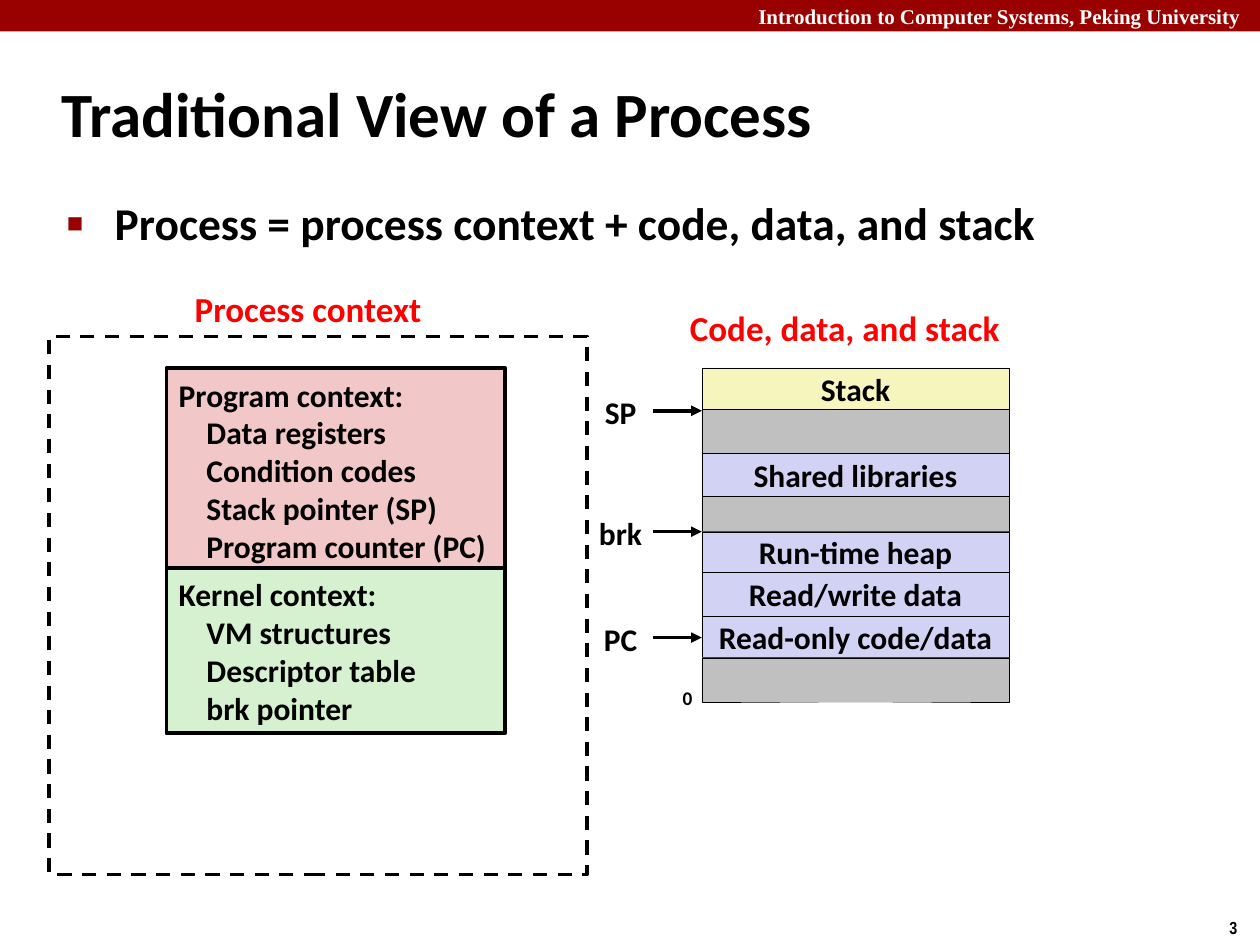
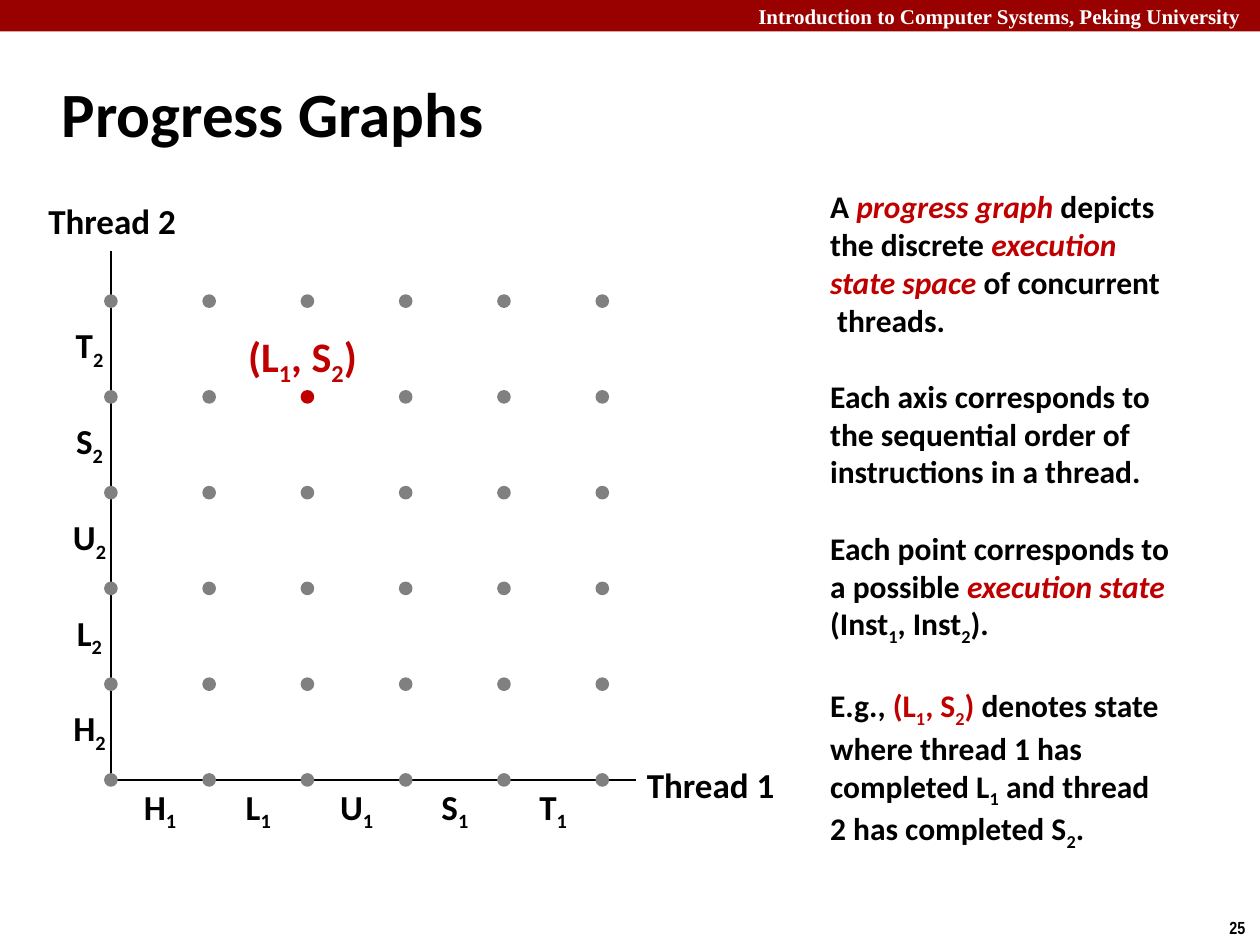
import dataclasses

import lxml.etree
import pptx
import pptx.dml.color
import pptx.enum.dml
import pptx.enum.shapes
import pptx.enum.text
import pptx.oxml.ns
import pptx.util

Inches = pptx.util.Inches
SHAPES = pptx.enum.shapes.MSO_SHAPE
ALIGN = pptx.enum.text.PP_ALIGN
ANCHOR = pptx.enum.text.MSO_ANCHOR


@dataclasses.dataclass(frozen=True)
class Theme:
    # Colours
    black: str = "000000"
    white: str = "FFFFFF"
    band: str = "990000"
    heading: str = "FF0000"
    accent: str = "C00000"
    pink: str = "F1C7C7"
    green: str = "D5F1CF"
    yellow: str = "F6F5BD"
    lilac: str = "D2D2F4"
    silver: str = "C0C0C0"
    dot: str = "808080"
    # Fonts
    font: str = "Calibri"
    band_font: str = "Times New Roman"
    number_font: str = "Arial Narrow"
    # Type sizes
    title: int = 36
    bullet: int = 26
    callout: int = 24
    label: int = 20
    text: int = 18
    band_size: int = 12
    small: int = 11
    number: int = 10


THEME = Theme()

# Run styles: a run is a plain string or a (text, style) pair
SUB = {"subscript": True}
RED = {"color": THEME.accent}
RED_SUB = {**RED, **SUB}
TERM = {**RED, "italic": True}


def rgb(color):
    return pptx.dml.color.RGBColor.from_string(color)


def add_xml(parent, tag, **attributes):
    element = lxml.etree.SubElement(parent, pptx.oxml.ns.qn(tag))
    for name, value in attributes.items():
        element.set(name, value)
    return element


class Deck:
    def __init__(self, theme):
        self.theme = theme
        self.presentation = pptx.Presentation()
        self.presentation.slide_width = Inches(10)
        self.presentation.slide_height = Inches(7.5)
        self.slide = None

    def start_slide(self, layout, title, number):
        """Add a slide with the shared band, page number and title."""
        theme = self.theme
        self.slide = self.presentation.slides.add_slide(
            self.presentation.slide_layouts[layout])
        self.shape(SHAPES.RECTANGLE, 0, 0, 10, 0.25, theme.band)
        self.label(5.92, 0, 4.08, 0.25,
                   ["Introduction to Computer Systems, Peking University"],
                   size=theme.band_size, color=theme.white,
                   font=theme.band_font, align=ALIGN.LEFT)
        self.label(9.66, 7.23, 0.34, 0.27, [number], size=theme.number,
                   font=theme.number_font, align=ALIGN.LEFT)
        frame = self.placeholder(self.slide.shapes.title, 0.39, 0.48, 8.3, 0.83)
        frame.vertical_anchor = ANCHOR.MIDDLE
        self.add_runs(frame.paragraphs[0], [title], theme.title)

    def placeholder(self, shape, left, top, width, height):
        shape.left, shape.top = Inches(left), Inches(top)
        shape.width, shape.height = Inches(width), Inches(height)
        shape.text_frame.auto_size = pptx.enum.text.MSO_AUTO_SIZE.NONE
        return shape.text_frame

    def add_runs(self, paragraph, runs, size, color=None, font=None,
                 align=ALIGN.LEFT):
        """Add runs to a paragraph; a newline breaks the line."""
        paragraph.alignment = align
        for item in runs:
            text, style = (item, {}) if isinstance(item, str) else item
            if text == "\n":
                paragraph.add_line_break()
                continue
            run = paragraph.add_run()
            run.text = text
            run.font.name = font or self.theme.font
            run.font.size = pptx.util.Pt(size)
            run.font.bold = True
            run.font.italic = style.get("italic", False)
            run.font.color.rgb = rgb(
                style.get("color", color or self.theme.black))
            if style.get("subscript"):
                run._r.get_or_add_rPr().set("baseline", "-25000")

    def bullet(self, text):
        """Fill the body placeholder with one square bullet."""
        frame = self.placeholder(self.slide.placeholders[1],
                                 0.43, 1.5, 8.64, 5.44)
        paragraph = frame.paragraphs[0]
        self.add_runs(paragraph, [text], self.theme.bullet)
        properties = paragraph._p.get_or_add_pPr()
        properties.set("marL", str(Inches(0.38)))
        properties.set("indent", str(-Inches(0.38)))
        add_xml(add_xml(properties, "a:buClr"), "a:srgbClr",
                val=self.theme.band)
        add_xml(properties, "a:buSzPct", val="60000")
        add_xml(properties, "a:buChar", char="\u25a0")

    def label(self, left, top, width, height, runs, size=THEME.label,
              color=None, font=None, align=ALIGN.CENTER):
        """Add a one-line text box."""
        box = self.slide.shapes.add_textbox(
            Inches(left), Inches(top), Inches(width), Inches(height))
        box.text_frame.word_wrap = False
        box.text_frame.vertical_anchor = ANCHOR.MIDDLE
        self.add_runs(box.text_frame.paragraphs[0], runs, size, color, font,
                      align)

    def prose(self, left, top, width, height, paragraphs, gap):
        """Add a text box of paragraphs, a fixed gap apart."""
        box = self.slide.shapes.add_textbox(
            Inches(left), Inches(top), Inches(width), Inches(height))
        frame = box.text_frame
        frame.word_wrap = True
        frame.vertical_anchor = ANCHOR.MIDDLE
        for index, runs in enumerate(paragraphs):
            paragraph = frame.add_paragraph() if index else frame.paragraphs[0]
            if index:
                paragraph.space_before = pptx.util.Pt(gap)
            self.add_runs(paragraph, runs, self.theme.text)

    def shape(self, kind, left, top, width, height, fill=None, line=None,
              weight=2, dashed=False):
        shape = self.slide.shapes.add_shape(
            kind, Inches(left), Inches(top), Inches(width), Inches(height))
        shape.shadow.inherit = False
        if fill:
            shape.fill.solid()
            shape.fill.fore_color.rgb = rgb(fill)
        else:
            shape.fill.background()
        if line:
            shape.line.color.rgb = rgb(line)
            shape.line.width = pptx.util.Pt(weight)
        else:
            shape.line.fill.background()
        if dashed:
            shape.line.dash_style = pptx.enum.dml.MSO_LINE.DASH
        return shape

    def context_box(self, top, height, fill, heading, entries):
        """Add a bordered box with a heading and indented entries."""
        shape = self.shape(SHAPES.RECTANGLE, 1.32, top, 2.69, height, fill,
                           self.theme.black)
        frame = shape.text_frame
        frame.word_wrap = True
        frame.margin_right = 0
        frame.vertical_anchor = ANCHOR.MIDDLE
        self.add_runs(frame.paragraphs[0], [heading], self.theme.text)
        for entry in entries:
            paragraph = frame.add_paragraph()
            paragraph._p.get_or_add_pPr().set("marL", str(Inches(0.22)))
            self.add_runs(paragraph, [entry], self.theme.text)

    def region(self, left, top, width, height, fill, name):
        """Add one region of the address space."""
        shape = self.shape(SHAPES.RECTANGLE, left, top, width, height, fill,
                           self.theme.black, 0.25)
        if name:
            frame = shape.text_frame
            frame.word_wrap = False
            frame.vertical_anchor = ANCHOR.MIDDLE
            self.add_runs(frame.paragraphs[0], [name], self.theme.text,
                          align=ALIGN.CENTER)

    def dot(self, x, y, color):
        self.shape(SHAPES.OVAL, x - 0.04, y - 0.04, 0.08, 0.08, color, color)

    def line(self, x1, y1, x2, y2, weight, arrow=False):
        connector = self.slide.shapes.add_connector(
            pptx.enum.shapes.MSO_CONNECTOR.STRAIGHT,
            Inches(x1), Inches(y1), Inches(x2), Inches(y2))
        connector.line.color.rgb = rgb(self.theme.black)
        connector.line.width = pptx.util.Pt(weight)
        if arrow:
            add_xml(connector.line._get_or_add_ln(), "a:tailEnd",
                    type="triangle")
        add_xml(connector._element.spPr, "a:effectLst")


def build_process_slide(deck):
    theme = deck.theme
    deck.start_slide(1, "Traditional View of a Process", "3")
    deck.bullet("Process = process context + code, data, and stack")

    # Process context
    deck.label(1.43, 2.23, 2.03, 0.44, ["Process context"], color=theme.heading)
    deck.context_box(2.92, 1.62, theme.pink, "Program context:",
                     ["Data registers", "Condition codes",
                      "Stack pointer (SP)", "Program counter (PC)"])
    deck.context_box(4.51, 1.31, theme.green, "Kernel context:",
                     ["VM structures", "Descriptor table", "brk pointer"])
    deck.shape(SHAPES.RECTANGLE, 0.39, 2.67, 4.27, 4.27, line=theme.black,
               dashed=True)

    # Address space, from the top down
    deck.label(5.36, 2.38, 2.69, 0.44, ["Code, data, and stack"],
               color=theme.heading)
    left, top = 5.57, 2.92
    for name, height, fill in [
            ("Stack", 0.33, theme.yellow),
            ("", 0.35, theme.silver),
            ("Shared libraries", 0.34, theme.lilac),
            ("", 0.28, theme.silver),
            ("Run-time heap", 0.32, theme.lilac),
            ("Read/write data", 0.35, theme.lilac),
            ("Read-only code/data", 0.33, theme.lilac),
            ("", 0.35, theme.silver)]:
        deck.region(left, top, 2.44, height, fill, name)
        top += height
    deck.label(5.32, 5.39, 0.28, 0.29, ["0"], size=theme.small,
               align=ALIGN.LEFT)

    # Pointers into the address space
    for name, y in [("SP", 3.26), ("brk", 4.22), ("PC", 5.06)]:
        deck.label(4.65, y - 0.19, 0.55, 0.4, [name], size=theme.text)
        deck.line(5.18, y, left, y, 2, arrow=True)


def build_progress_slide(deck):
    theme = deck.theme
    deck.start_slide(5, "Progress Graphs", "25")

    # Axes
    origin_x, origin_y, step_x, step_y = 0.88, 6.19, 0.78, 0.76
    deck.line(origin_x, origin_y, 5.05, origin_y, 1)
    deck.line(origin_x, origin_y, origin_x, 1.99, 1)
    deck.label(5.03, 6.01, 1.22, 0.44, ["Thread 1"])
    deck.label(0.28, 1.53, 1.22, 0.44, ["Thread 2"])

    # Instructions between the grid points of each axis
    for index, letter in enumerate("HLUST"):
        x = origin_x + (index + 0.5) * step_x
        y = origin_y - (index + 0.5) * step_y
        deck.label(x - 0.24, 6.2, 0.48, 0.44, [letter, ("1", SUB)])
        deck.label(0.47, y - 0.23, 0.48, 0.44, [letter, ("2", SUB)])

    # Execution states
    for column in range(6):
        for row in range(6):
            color = theme.accent if (column, row) == (2, 4) else theme.dot
            deck.dot(origin_x + column * step_x, origin_y - row * step_y, color)
    state = [("(L", RED), ("1", RED_SUB), (", S", RED), ("2", RED_SUB),
             (")", RED)]
    deck.label(1.87, 2.6, 1.18, 0.5, state, size=theme.callout,
               align=ALIGN.LEFT)

    # Explanation
    deck.prose(6.49, 1.5, 3.1, 5.25, [
        ["A ", ("progress graph ", TERM), "depicts", "\n",
         "the discrete ", ("execution", TERM), "\n",
         ("state space", TERM), " of concurrent", "\n", " threads."],
        ["Each axis corresponds to", "\n", "the sequential order of", "\n",
         "instructions in a thread."],
        ["Each point corresponds to", "\n",
         "a possible ", ("execution state", TERM), "\n",
         "(Inst", ("1", SUB), ", Inst", ("2", SUB), ")."],
        ["E.g., ", *state, " denotes state", "\n",
         "where thread 1 has", "\n",
         "completed L", ("1", SUB), " and thread", "\n",
         "2 has completed S", ("2", SUB), "."],
    ], gap=22)


deck = Deck(THEME)
build_process_slide(deck)
build_progress_slide(deck)
deck.presentation.save("out.pptx")
